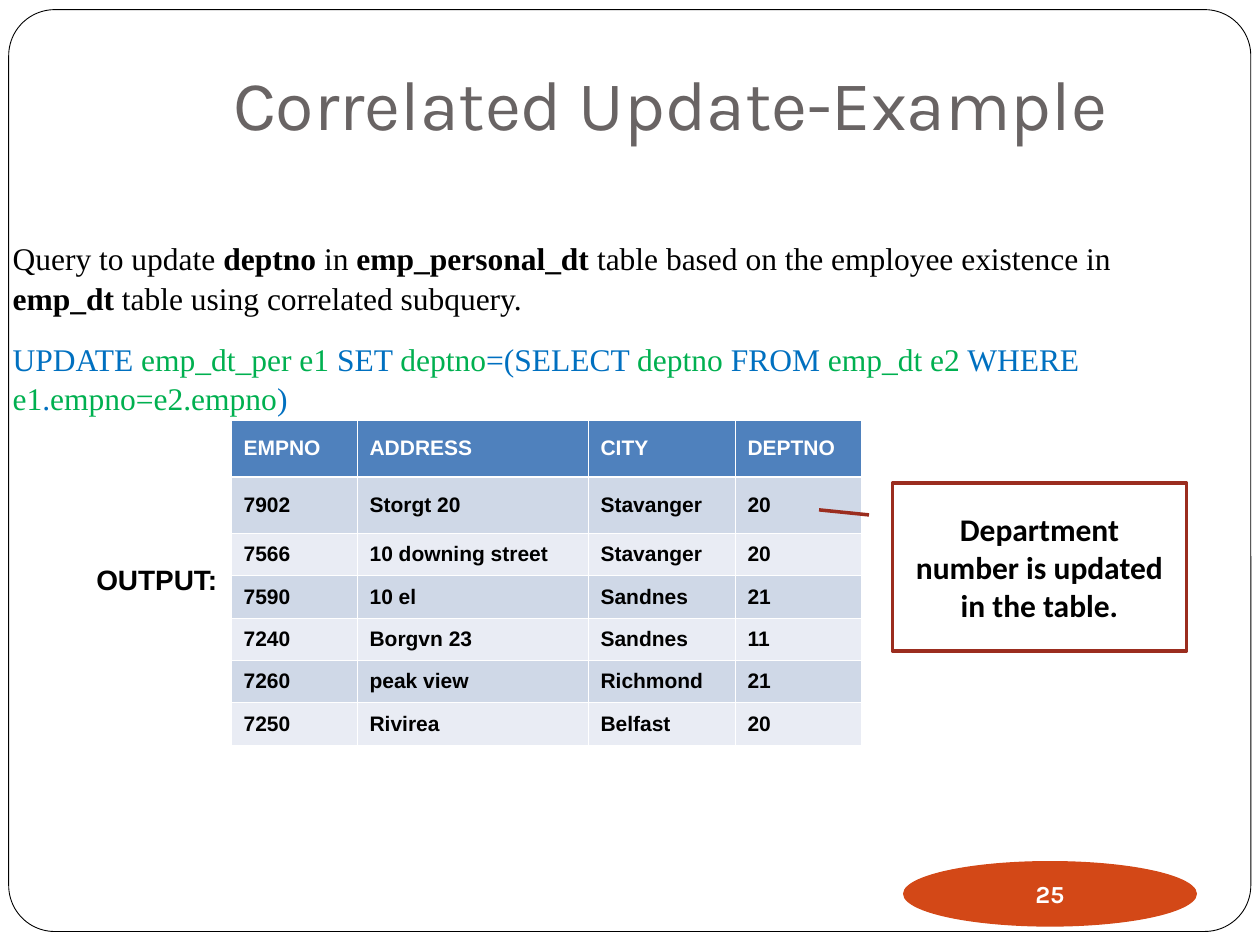
from lxml import etree
from pptx import Presentation
from pptx import util as u
from pptx.dml.color import RGBColor
from pptx.enum import shapes, text
from pptx.oxml import ns

BLACK = RGBColor(0x00, 0x00, 0x00)
WHITE = RGBColor(0xFF, 0xFF, 0xFF)
GREY = RGBColor(0x69, 0x64, 0x64)
ORANGE = RGBColor(0xD3, 0x48, 0x17)
DARK_RED = RGBColor(0x9B, 0x2D, 0x1F)
SQL_BLUE = RGBColor(0x00, 0x70, 0xC0)
SQL_GREEN = RGBColor(0x00, 0xB0, 0x50)
HEADER_BLUE = RGBColor(0x4F, 0x81, 0xBD)
BANDS = [RGBColor(0xCF, 0xD8, 0xE7), RGBColor(0xE9, 0xEC, 0xF4)]

# The slide is a grid of 120 columns and 90 rows, twelve to the inch
UNIT = u.Inches(1) / 12
COLUMNS, ROWS = 120, 90

TITLE = dict(name="Karla", size=u.Pt(40), color=GREY)
NUMBER = dict(name="Karla", size=u.Pt(14), color=WHITE, bold=True)
QUERY = dict(name="Times New Roman", size=u.Pt(18), color=BLACK, bold=False)
LABEL = dict(name="Arial", size=u.Pt(16), color=BLACK, bold=True)
HEADER = dict(name="Arial", size=u.Pt(12), color=WHITE, bold=True)
CELL = HEADER | dict(color=BLACK)
CALLOUT = dict(name="Calibri", size=u.Pt(18), color=BLACK, bold=True)

STRONG = dict(bold=True)
BLUE = dict(color=SQL_BLUE)
GREEN = dict(color=SQL_GREEN)
QUERY_PARAS = [
    [("Query to update ", {}), ("deptno", STRONG), (" in ", {}),
     ("emp_personal_dt", STRONG),
     (" table based on the employee existence in ", {}),
     ("emp_dt ", STRONG), ("table using correlated subquery.", {})],
    [("UPDATE ", BLUE), ("emp_dt_per e1", GREEN), (" SET ", BLUE),
     ("deptno", GREEN), ("=(SELECT ", BLUE), ("deptno", GREEN),
     (" FROM ", BLUE), ("emp_dt e2", GREEN), (" WHERE", BLUE),
     (" e1", GREEN), (".", BLUE), ("empno=e2.empno", GREEN), (")", BLUE)],
]

EMPLOYEES = [
    ("EMPNO", "ADDRESS", "CITY", "DEPTNO"),
    ("7902", "Storgt 20", "Stavanger", "20"),
    ("7566", "10 downing street", "Stavanger", "20"),
    ("7590", "10 el", "Sandnes", "21"),
    ("7240", "Borgvn 23", "Sandnes", "11"),
    ("7260", "peak view", "Richmond", "21"),
    ("7250", "Rivirea", "Belfast", "20"),
]
COLUMN_WIDTHS = [12, 22, 14, 12]
ROW_HEIGHTS = [5.4] * 2 + [4.03] * 5


def grid(*lengths):
    return [u.Emu(round(length * UNIT)) for length in lengths]


def place(box, *area):
    box.left, box.top, box.width, box.height = grid(*area)


def add_span(para, words, look):
    span = para.add_run()
    span.text = words
    for key, value in look.items():
        if key == "color":
            span.font.color.rgb = value
        else:
            setattr(span.font, key, value)


def format_frame(frame, margins=(0.1, 0.05, 0.1, 0.05), **values):
    for side, margin in zip(("left", "top", "right", "bottom"), margins):
        setattr(frame, f"margin_{side}", u.Inches(margin))
    settings = dict(word_wrap=True, auto_size=text.MSO_AUTO_SIZE.NONE) | values
    for key, value in settings.items():
        setattr(frame, key, value)


def add_outline(page, kind, area, fill, line=None, weight=0):
    box = page.shapes.add_shape(kind, *grid(*area))
    box.shadow.inherit = False
    box.fill.solid()
    box.fill.fore_color.rgb = fill
    if line is None:
        box.line.fill.background()
    else:
        box.line.color.rgb = line
        box.line.width = u.Pt(weight)
    return box


def write_centred(box, words, look, **values):
    format_frame(box.text_frame, vertical_anchor=text.MSO_ANCHOR.MIDDLE, **values)
    para = box.text_frame.paragraphs[0]
    para.alignment = text.PP_ALIGN.CENTER
    add_span(para, words, look)


def fill_title(title):
    place(title, 21, 0, 99, 15)
    format_frame(title.text_frame, (0.1, 0.05, 0.1, 0.1),
                 vertical_anchor=text.MSO_ANCHOR.BOTTOM)
    para = title.text_frame.paragraphs[0]
    para.alignment = text.PP_ALIGN.LEFT
    add_span(para, "Correlated Update-Example", TITLE)


def fill_query(body):
    place(body, 0, 22, 117, 20)
    frame = body.text_frame
    format_frame(frame, vertical_anchor=text.MSO_ANCHOR.TOP)
    for index, spans in enumerate(QUERY_PARAS):
        para = frame.add_paragraph() if index else frame.paragraphs[0]
        properties = para._p.get_or_add_pPr()
        properties.set("marL", "0")
        properties.set("indent", "0")
        etree.SubElement(properties, ns.qn("a:buNone"))
        para.space_before = u.Pt(12 if index else 0)
        para.line_spacing = 1.05
        for words, change in spans:
            add_span(para, words, QUERY | change)


def add_border(cell, side, weight):
    line = etree.SubElement(cell._tc.get_or_add_tcPr(), ns.qn(f"a:ln{side}"),
                            w=str(u.Pt(weight)))
    fill = etree.SubElement(line, ns.qn("a:solidFill"))
    etree.SubElement(fill, ns.qn("a:srgbClr"), val=str(WHITE))


def format_cell(cell, words, row):
    for side in "LRTB":
        heavy = (row, side) in ((0, "B"), (1, "T"))
        add_border(cell, side, 1.47 if heavy else 0.45)
    cell.fill.solid()
    cell.fill.fore_color.rgb = BANDS[(row - 1) % 2] if row else HEADER_BLUE
    cell.vertical_anchor = text.MSO_ANCHOR.MIDDLE
    add_span(cell.text_frame.paragraphs[0], words, CELL if row else HEADER)


def add_employees(page):
    area = grid(22, 40, sum(COLUMN_WIDTHS), sum(ROW_HEIGHTS))
    table = page.shapes.add_table(len(EMPLOYEES), len(COLUMN_WIDTHS), *area).table
    for column, width in zip(table.columns, grid(*COLUMN_WIDTHS)):
        column.width = width
    for row, height in zip(table.rows, grid(*ROW_HEIGHTS)):
        row.height = height
    for row, record in enumerate(EMPLOYEES):
        for column, words in enumerate(record):
            format_cell(table.cell(row, column), words, row)


def add_label(page):
    label = page.shapes.add_textbox(*grid(8, 53, 18, 4.4))
    format_frame(label.text_frame)
    add_span(label.text_frame.paragraphs[0], "OUTPUT:", LABEL)


def main():
    deck = Presentation()
    deck.slide_width, deck.slide_height = grid(COLUMNS, ROWS)
    page = deck.slides.add_slide(deck.slide_layouts[1])
    kinds = shapes.MSO_SHAPE

    # Rounded page border, behind everything else
    border = add_outline(page, kinds.ROUNDED_RECTANGLE, (0.83, 0.92, 118.3, 87.8),
                         WHITE, BLACK, 0.5)
    border.adjustments[0] = 0.05
    page.shapes._spTree.insert(2, border._element)

    # Title and query
    fill_title(page.shapes.title)
    fill_query(page.placeholders[1])

    # Slide number badge
    badge = add_outline(page, kinds.OVAL, (86, 82, 28, 6.25), ORANGE)
    write_centred(badge, "25", NUMBER, margins=(0, 0, 0, 0), word_wrap=False)

    # Query output with its label
    add_employees(page)
    add_label(page)

    # Callout pointing at the changed column
    callout = add_outline(page, kinds.LINE_CALLOUT_1, (85, 46, 28, 16),
                          WHITE, DARK_RED, 2)
    for index, share in enumerate((0.19, -0.08, 0.16, -0.25)):
        callout.adjustments[index] = share
    write_centred(callout, "Department number is updated in the table.", CALLOUT)

    deck.save("out.pptx")


if __name__ == "__main__":
    main()
